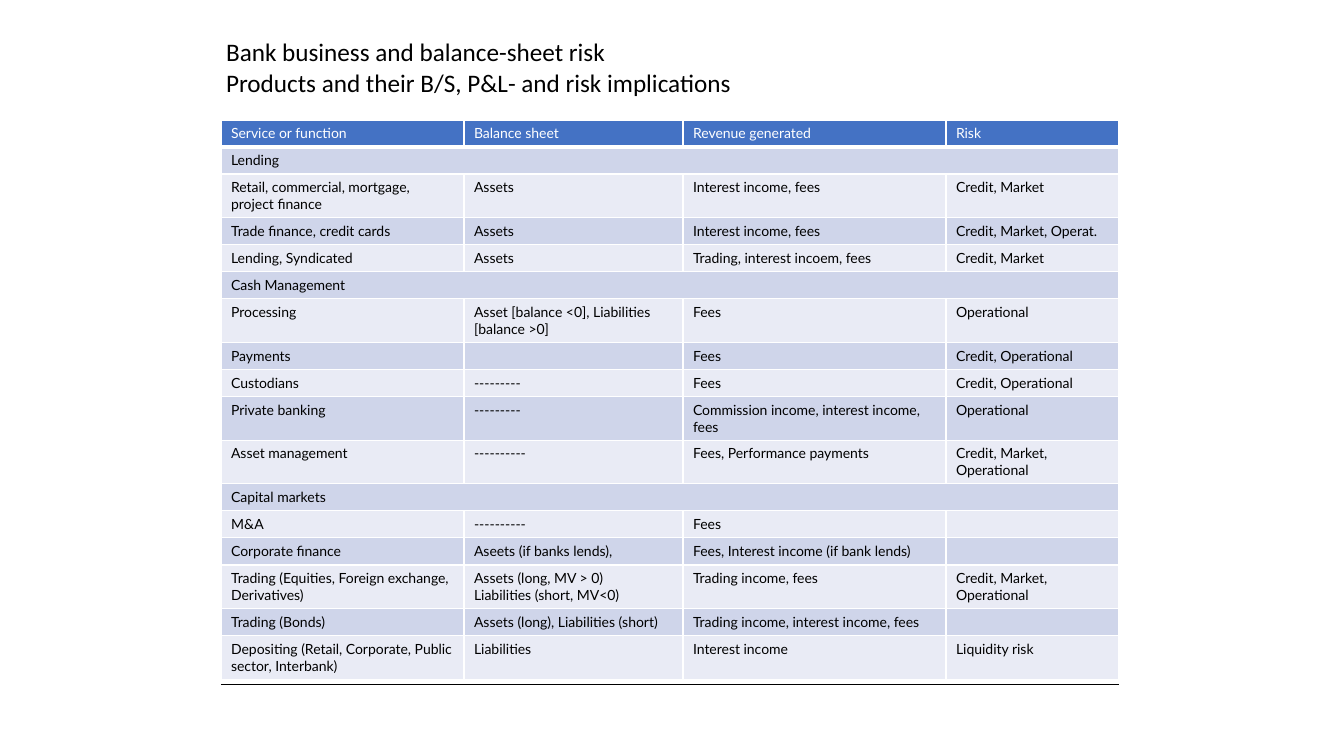
"""Build a slide with a table of bank products and their balance-sheet, revenue and risk effects."""
from lxml.etree import SubElement
from pptx import Presentation
from pptx.dml.color import RGBColor
from pptx.enum.shapes import MSO_CONNECTOR
from pptx.enum.text import MSO_ANCHOR, MSO_AUTO_SIZE, PP_ALIGN
from pptx.oxml.ns import qn
from pptx.util import Emu, Pt

PX = 914400 / 100.8


def color(code):
    return RGBColor.from_string(code)


def write(frame, text, size=10, font="Lato", ink="000000"):
    frame.text = text
    for para in frame.paragraphs:
        para.alignment = PP_ALIGN.LEFT
        for gap in para._p.findall(qn("a:br")):
            SubElement(gap, qn("a:rPr"), sz=str(size * 100))
        for run in para.runs:
            run.font.size = Pt(size)
            run.font.name = font
            run.font.color.rgb = color(ink)
        SubElement(para._p, qn("a:endParaRPr"), sz=str(size * 100))


deck = Presentation()
deck.slide_width, deck.slide_height = Emu(round(1344 * PX)), Emu(round(756 * PX))
slide = deck.slides.add_slide(deck.slide_layouts[5])

title = slide.shapes.title
title.left, title.top, title.width, title.height = [Emu(round(n * PX)) for n in (216, 26, 961, 82)]
frame = title.text_frame
frame.word_wrap = True
frame.auto_size = MSO_AUTO_SIZE.NONE
frame.vertical_anchor = MSO_ANCHOR.MIDDLE
write(frame, "Bank business and balance-sheet risk\vProducts and their B/S, P&L- and risk implications",
      size=18, font="Calibri")

left, top, tall = 221, 120, 27
widths = [243, 219, 263, 173]
right = left + sum(widths)

rule = slide.shapes.add_connector(
    MSO_CONNECTOR.STRAIGHT, *[Emu(round(n * PX)) for n in (left, 685, right, 685)])
rule.line.color.rgb = color("000000")
rule.line.width = Pt(0.75)
SubElement(rule._element.spPr, qn("a:effectLst"))

rows = [
    ["Service or function", "Balance sheet", "Revenue generated", "Risk"],
    ["Lending"],
    ["Retail, commercial, mortgage, project finance", "Assets", "Interest income, fees", "Credit, Market"],
    ["Trade finance, credit cards", "Assets", "Interest income, fees", "Credit, Market, Operat."],
    ["Lending, Syndicated", "Assets", "Trading, interest incoem, fees", "Credit, Market"],
    ["Cash Management"],
    ["Processing", "Asset [balance <0], Liabilities [balance >0]", "Fees", "Operational"],
    ["Payments", "", "Fees", "Credit, Operational"],
    ["Custodians", "---------", "Fees", "Credit, Operational"],
    ["Private banking", "---------", "Commission income, interest income, fees", "Operational"],
    ["Asset management", "----------", "Fees, Performance payments", "Credit, Market, Operational"],
    ["Capital markets"],
    ["M&A", "----------", "Fees", ""],
    ["Corporate finance", "Aseets (if banks lends),", "Fees, Interest income (if bank lends)", ""],
    ["Trading (Equities, Foreign exchange, Derivatives)", "Assets (long, MV > 0)\nLiabilities (short, MV<0)",
     "Trading income, fees", "Credit, Market, Operational"],
    ["Trading (Bonds)", "Assets (long), Liabilities (short)", "Trading income, interest income, fees", ""],
    ["Depositing (Retail, Corporate, Public sector, Interbank)", "Liabilities", "Interest income",
     "Liquidity risk"],
]
box = [Emu(round(n * PX)) for n in (left, top, sum(widths), tall * len(rows))]
table = slide.shapes.add_table(len(rows), len(widths), *box).table
for col, width in zip(table.columns, widths):
    col.width = Emu(round(width * PX))

for r, row in enumerate(rows):
    table.rows[r].height = Emu(round(tall * PX))
    head = r == 0
    fill = "4472C4" if head else ("E9EBF5", "CFD5EA")[r % 2]
    for c in range(len(widths)):
        cell = table.cell(r, c)
        text = row[c] if c < len(row) else ""
        write(cell.text_frame, text, ink="FFFFFF" if head else "000000")
        props = cell._tc.get_or_add_tcPr()
        for side in "LRTB" if head else "LRB":
            wide = Pt(3 if head and side == "B" else 1)
            edge = SubElement(props, qn(f"a:ln{side}"), w=str(wide))
            SubElement(SubElement(edge, qn("a:solidFill")), qn("a:srgbClr"), val="FFFFFF")
        cell.fill.solid()
        cell.fill.fore_color.rgb = color(fill)
    if len(row) == 1:
        table.cell(r, 0).merge(table.cell(r, len(widths) - 1))

deck.save("out.pptx")
